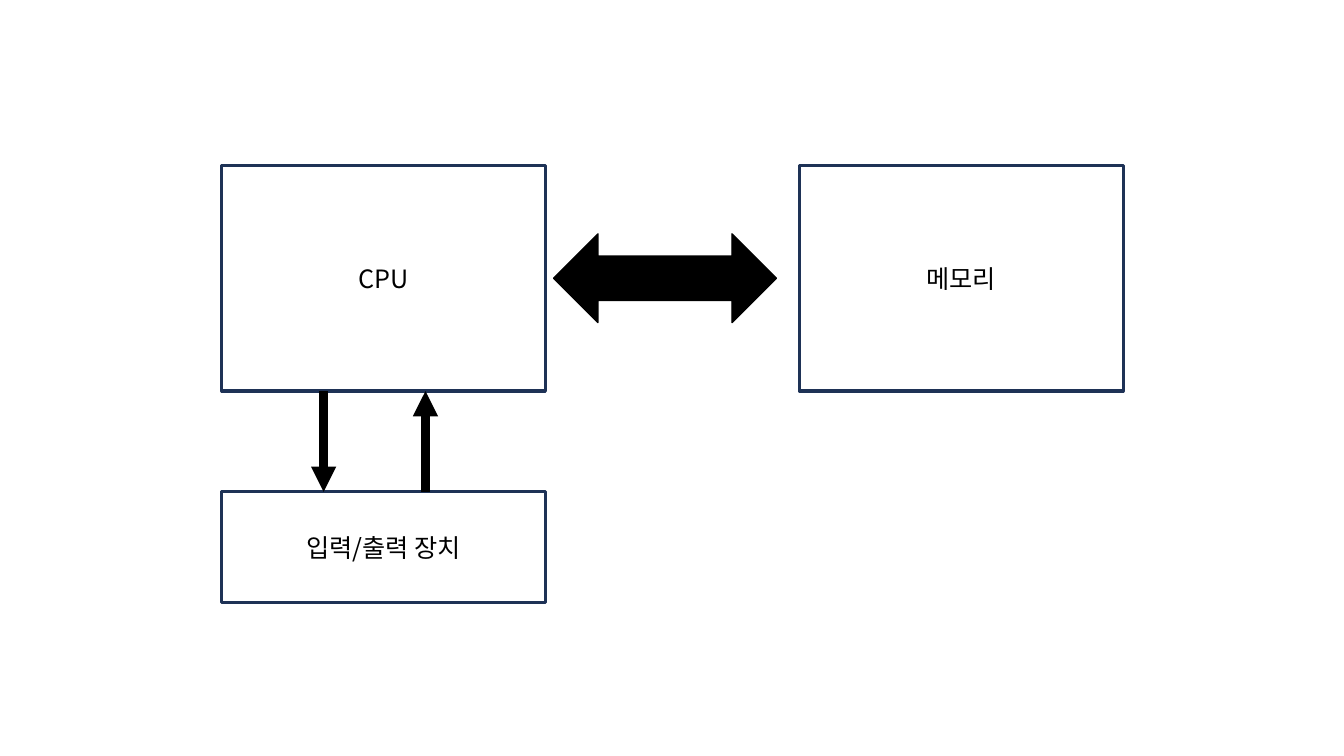
from lxml.etree import SubElement
from pptx import Presentation
from pptx.dml.color import RGBColor
from pptx.enum.shapes import MSO_CONNECTOR, MSO_SHAPE
from pptx.enum.text import MSO_ANCHOR, PP_ALIGN
from pptx.oxml.ns import qn
from pptx.util import Inches, Pt

COLORS = {"border": "1E3256", "ink": "000000"}
FONT = "Noto Sans CJK KR"


class DiagramSlide:
    def __init__(self, slide, font, colors):
        self.slide = slide
        self.font = font
        self.colors = {name: RGBColor.from_string(value) for name, value in colors.items()}

    def add_box(self, text, left, top, width, height):
        shape = self.slide.shapes.add_shape(
            MSO_SHAPE.RECTANGLE, Inches(left), Inches(top), Inches(width), Inches(height)
        )
        shape.shadow.inherit = False
        shape.fill.background()
        shape.line.color.rgb = self.colors["border"]
        shape.line.width = Pt(2.25)
        text_frame = shape.text_frame
        text_frame.text = text
        text_frame.word_wrap = True
        text_frame.vertical_anchor = MSO_ANCHOR.MIDDLE
        paragraph = text_frame.paragraphs[0]
        paragraph.alignment = PP_ALIGN.CENTER
        for run in paragraph.runs:
            run.font.size = Pt(18)
            run.font.name = self.font
            run.font.color.rgb = self.colors["ink"]
            SubElement(run.font._element, qn("a:ea"), typeface=self.font)

    def add_arrow(self, x, start_y, end_y):
        connector = self.slide.shapes.add_connector(
            MSO_CONNECTOR.STRAIGHT, Inches(x), Inches(start_y), Inches(x), Inches(end_y)
        )
        connector.line.color.rgb = self.colors["ink"]
        connector.line.width = Pt(6)
        SubElement(connector.line._get_or_add_ln(), qn("a:tailEnd"), type="triangle")
        SubElement(connector._element.spPr, qn("a:effectLst"))

    def add_double_arrow(self, left, top, width, height):
        shape = self.slide.shapes.add_shape(
            MSO_SHAPE.LEFT_RIGHT_ARROW, Inches(left), Inches(top), Inches(width), Inches(height)
        )
        shape.shadow.inherit = False
        shape.fill.solid()
        shape.fill.fore_color.rgb = self.colors["ink"]
        shape.line.color.rgb = self.colors["ink"]
        shape.line.width = Pt(1)


def main():
    presentation = Presentation()
    presentation.slide_width = Inches(13.33)
    presentation.slide_height = Inches(7.5)
    slide = presentation.slides.add_slide(presentation.slide_layouts[6])
    diagram = DiagramSlide(slide, FONT, COLORS)

    cpu_left, memory_left, box_width = 2.2, 7.93, 3.21
    cpu_top, cpu_height = 1.64, 2.24
    cpu_bottom, device_top = cpu_top + cpu_height, 4.88

    diagram.add_box("CPU", cpu_left, cpu_top, box_width, cpu_height)
    diagram.add_box("입력/출력 장치", cpu_left, device_top, box_width, 1.1)
    diagram.add_box("메모리", memory_left, cpu_top, box_width, cpu_height)
    diagram.add_arrow(3.21, cpu_bottom, device_top)
    diagram.add_arrow(4.22, device_top, cpu_bottom)
    diagram.add_double_arrow(5.49, 2.32, 2.21, 0.88)

    presentation.save("out.pptx")


if __name__ == "__main__":
    main()
